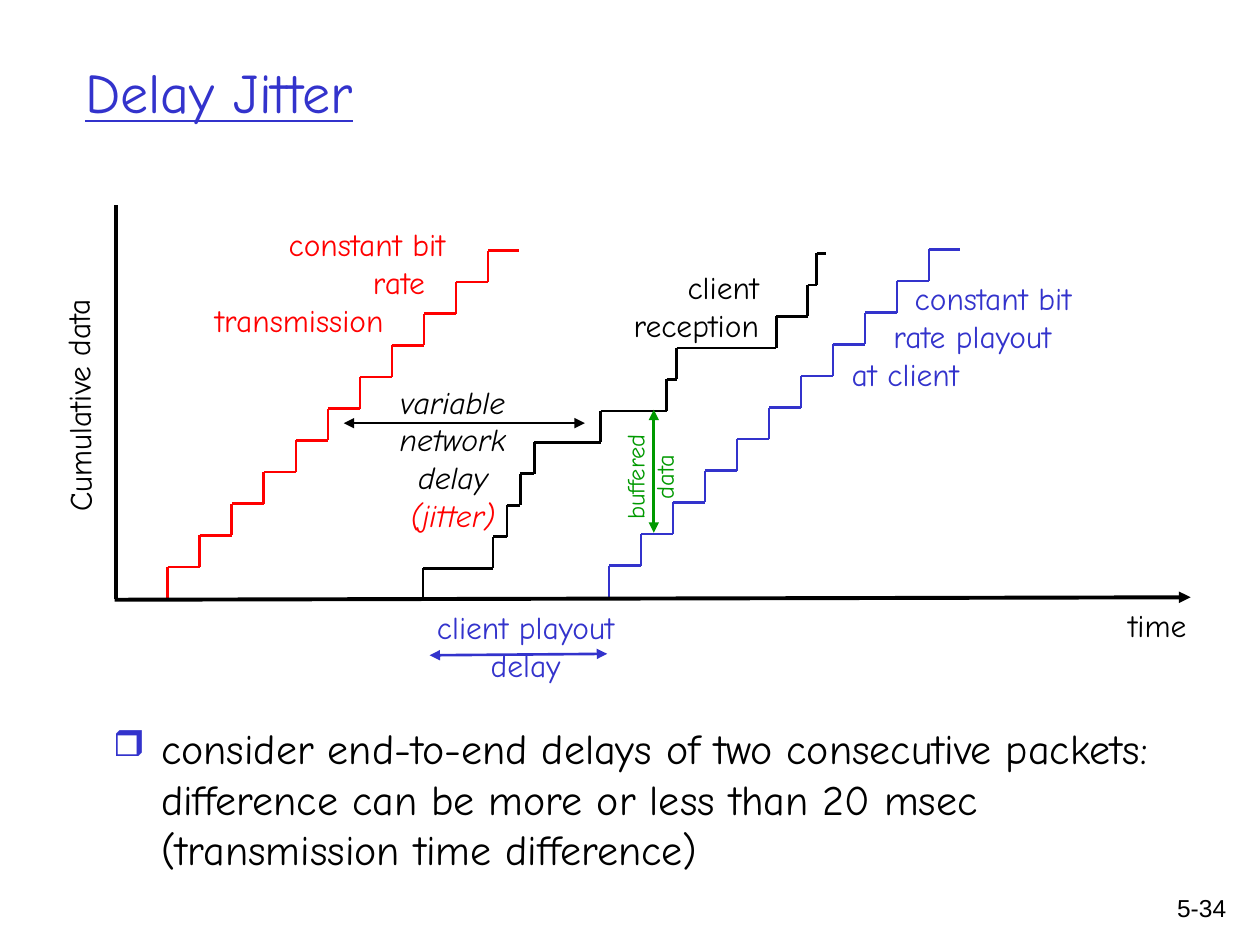
from lxml import etree
from pptx import Presentation, util as u
from pptx.dml.color import RGBColor
from pptx.enum import shapes, text
from pptx.oxml import ns

BLACK, RED, BLUE, GREEN = "000000", "FF0000", "3333CC", "009900"
HAND = "Comic Neue"
LEFT, CENTER, RIGHT = text.PP_ALIGN.LEFT, text.PP_ALIGN.CENTER, text.PP_ALIGN.RIGHT


def even(first, last, count):
    return [first + (last - first) * i / (count - 1) for i in range(count)]


# All lengths are in centimetres.
# Staircases: x of each riser, x where the last tread ends, base y, top y, colour
STAIRS = [
    (even(3.38, 9.84, 11), 10.47, 12.07, 5.05, RED),
    ([8.53, 9.94, 10.22, 10.49, 10.77, 12.11, 13.44, 13.64, 15.65, 16.28, 16.46],
     16.66, 12.09, 5.11, BLACK),
    (even(12.28, 18.73, 11), 19.36, 12.04, 5.03, BLUE),
]

# Start, end, colour, width in points, ends that carry an arrowhead
LINES = [
    ((2.34, 4.14), (2.34, 12.07), BLACK, 2.25, ()),
    ((2.31, 12.09), (24, 12.04), BLACK, 2.25, ("tail",)),
    ((6.93, 8.53), (11.79, 8.53), BLACK, 1.5, ("head", "tail")),
    ((8.66, 13.21), (12.24, 13.18), BLUE, 1.5, ("head", "tail")),
    ((13.18, 10.74), (13.18, 8.26), GREEN, 1.5, ("head", "tail")),
]

# Box (left, top, width, height), paragraphs, format
TEXTS = [
    ((23.09, 17.88, 1.88, 1.27), ["5-34"], dict(size=14, font="Arial", align=RIGHT)),
    ((4.09, 4.42, 5.64, 2.54), ["constant bit", "rate", "transmission"],
     dict(colors=[RED], indents=[1.48, 3.18, 0])),
    ((-1.14, 7.34, 5.44, 1.02), ["Cumulative data"], dict(rotation=269.4)),
    ((22.5, 12.09, 1.83, 1.02), ["time"], {}),
    ((7.67, 7.59, 2.92, 3.3), ["variable", "network", "delay", "(jitter)"],
     dict(colors=[BLACK, BLACK, BLACK, RED], italic=True, align=CENTER)),
    ((12.22, 5.28, 3.33, 1.78), ["client", "reception"], dict(align=RIGHT)),
    ((16.71, 5.51, 5.64, 2.54), ["constant bit", "rate playout", "at client"],
     dict(colors=[BLUE], indents=[1.48, 1.05, 0.21])),
    ((8.26, 12.14, 4.67, 1.78), ["client playout", "delay"],
     dict(colors=[BLUE], align=CENTER)),
    ((11.79, 8.89, 2.62, 1.45), ["buffered", "data"],
     dict(colors=[GREEN], size=14, align=CENTER, rotation=270)),
    ((1.47, 0.64, 22.68, 2.41), ["Delay Jitter"],
     dict(colors=[BLUE], size=32, underline=True, anchor=text.MSO_ANCHOR.MIDDLE)),
    ((2.03, 14.45, 21.59, 2.46),
     ["consider end-to-end delays of two consecutive packets: difference can be "
      "more or less than 20 msec (transmission time difference)"],
     dict(size=24, bullet="❒", indents=[0.97], before=4.8)),
]


def rgb(value):
    return RGBColor.from_string(value)


def add_line(s, start, end, color, width=1.5, arrows=()):
    sp = s.shapes.add_connector(shapes.MSO_CONNECTOR.STRAIGHT,
                                *(u.Cm(v) for v in (*start, *end)))
    sp.line.color.rgb = rgb(color)
    sp.line.width = u.Pt(width)
    ln = sp.line._get_or_add_ln()
    for end_name in arrows:
        etree.SubElement(ln, ns.qn(f"a:{end_name}End"), type="triangle")
    etree.SubElement(sp._element.spPr, ns.qn("a:effectLst"))


def add_stairs(s, risers, end, base, top, color):
    rise = (base - top) / len(risers)
    for i, (x, next_x) in enumerate(zip(risers, risers[1:] + [end])):
        y = base - i * rise
        add_line(s, (x, y), (x, y - rise), color)
        add_line(s, (x, y - rise), (next_x, y - rise), color)


def set_bullet(p, char, color):
    """Hang a coloured bullet in the paragraph's left margin."""
    pPr = p._p.get_or_add_pPr()
    pPr.set("indent", f"-{pPr.get('marL')}")
    buClr = etree.SubElement(pPr, ns.qn("a:buClr"))
    etree.SubElement(buClr, ns.qn("a:srgbClr"), val=color)
    etree.SubElement(pPr, ns.qn("a:buSzPct"), val="85000")
    etree.SubElement(pPr, ns.qn("a:buChar"), char=char)


def add_text(s, box, lines, size=18, font=HAND, colors=(BLACK,), align=LEFT,
             indents=(), italic=False, underline=False, rotation=0,
             anchor=text.MSO_ANCHOR.TOP, bullet=None, before=0):
    """Add one paragraph per line; a single colour serves all lines."""
    sp = s.shapes.add_textbox(*(u.Cm(v) for v in box))
    sp.rotation = rotation
    tf = sp.text_frame
    tf.word_wrap = True
    tf.vertical_anchor = anchor
    for i, line in enumerate(lines):
        p = tf.add_paragraph() if i else tf.paragraphs[0]
        p.alignment = align
        if before:
            p.space_before = u.Pt(before)
        if indents:
            p._p.get_or_add_pPr().set("marL", str(u.Cm(indents[i])))
        if bullet:
            set_bullet(p, bullet, BLUE)
        r = p.add_run()
        r.text = line
        r.font.name = font
        r.font.size = u.Pt(size)
        r.font.italic = italic
        r.font.underline = underline
        r.font.color.rgb = rgb(colors[i % len(colors)])


def main():
    prs = Presentation()
    prs.slide_width, prs.slide_height = u.Cm(25.4), u.Cm(19.05)
    s = prs.slides.add_slide(prs.slide_layouts[6])
    for stairs in STAIRS:
        add_stairs(s, *stairs)
    for line in LINES:
        add_line(s, *line)
    for box, lines, style in TEXTS:
        add_text(s, box, lines, **style)
    prs.save("out.pptx")


if __name__ == "__main__":
    main()
